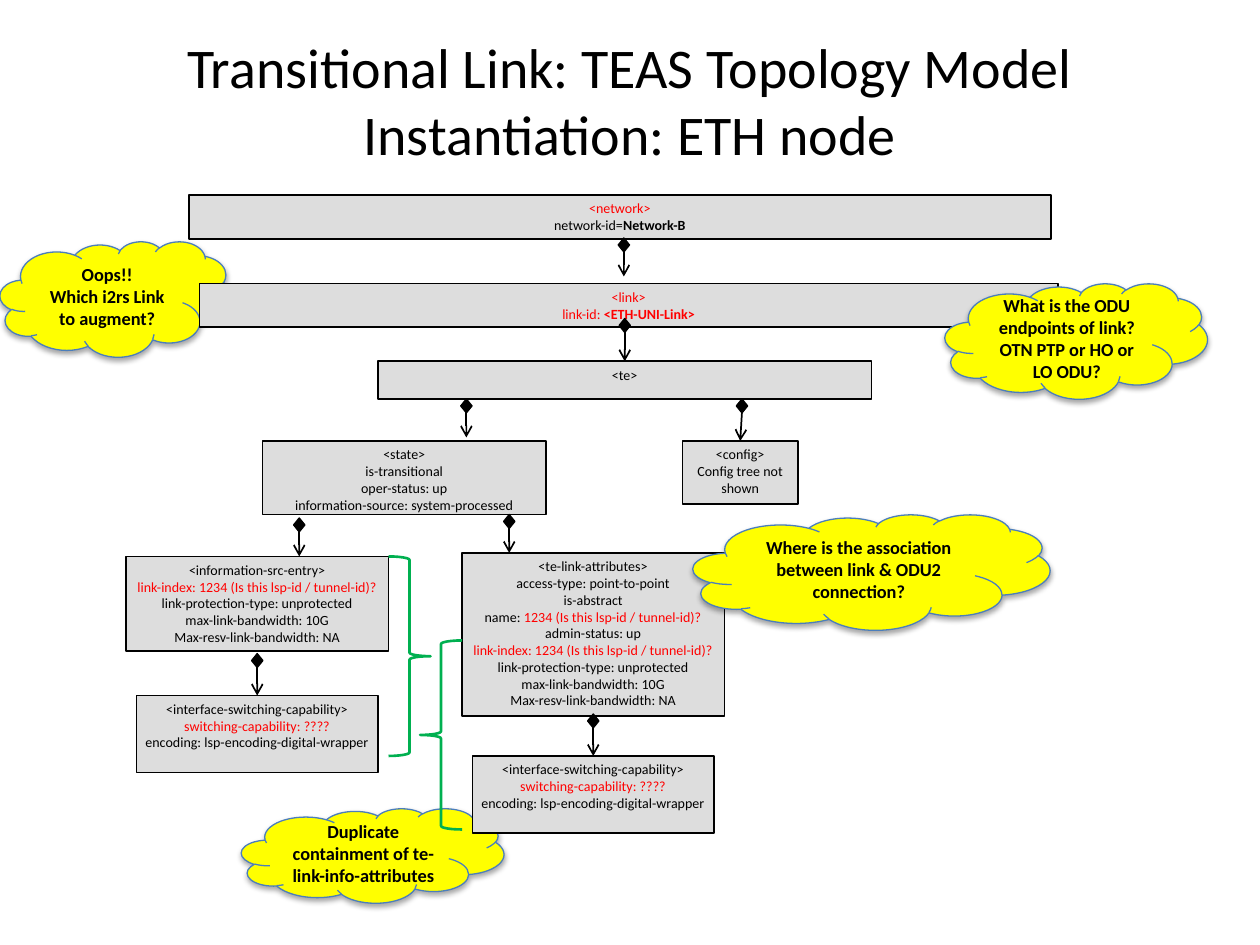
from dataclasses import dataclass

from lxml.etree import SubElement
from pptx import Presentation
from pptx.dml.color import RGBColor as RGB
from pptx.enum.shapes import MSO_CONNECTOR as CONN, MSO_SHAPE as SHAPE
from pptx.enum.text import MSO_ANCHOR as ANCHOR, PP_ALIGN as ALIGN
from pptx.oxml.ns import qn
from pptx.util import Pt


@dataclass(frozen=True)
class Theme:
    font: str = "Calibri"
    title_size: float = 32
    cloud_size: float = 10.5
    box_size: float = 8
    ink: RGB = RGB(0x00, 0x00, 0x00)
    query: RGB = RGB(0xFF, 0x00, 0x00)
    box: RGB = RGB(0xDD, 0xDD, 0xDD)
    cloud: RGB = RGB(0xFF, 0xFF, 0x00)
    cloud_edge: RGB = RGB(0x4B, 0x7E, 0xBC)
    brace: RGB = RGB(0x00, 0xB0, 0x50)


@dataclass(frozen=True)
class Line:
    """One paragraph: a lead in the first colour, then an optional tail run."""
    lead: str
    red: bool = False
    tail: str = ""
    tail_red: bool = False
    tail_bold: bool = False


class Diagram:
    def __init__(self, slide, theme):
        self.slide, self.theme = slide, theme

    def style_paragraph(self, p, size, color, bold=None):
        p.alignment = ALIGN.CENTER
        f = p.font
        f.name, f.size, f.bold = self.theme.font, Pt(size), bold
        f.color.rgb = color

    def shape(self, kind, at, fill, edge, width):
        sp = self.slide.shapes.add_shape(kind, *map(Pt, at))
        if fill is None:
            sp.fill.background()
        else:
            sp.fill.solid()
            sp.fill.fore_color.rgb = fill
        sp.line.color.rgb = edge
        sp.line.width = Pt(width)
        return sp

    def title(self, text, at):
        sp = self.slide.shapes.title
        sp.left, sp.top, sp.width, sp.height = map(Pt, at)
        tf = sp.text_frame
        tf.text = text
        tf.vertical_anchor = ANCHOR.MIDDLE
        self.style_paragraph(tf.paragraphs[0], self.theme.title_size, self.theme.ink)

    def cloud(self, at, text):
        """Callout that keeps the soft shadow of the template."""
        t = self.theme
        sp = self.shape(SHAPE.CLOUD, at, t.cloud, t.cloud_edge, 0.75)
        tf = sp.text_frame
        tf.word_wrap = True
        tf.vertical_anchor = ANCHOR.MIDDLE
        tf.text = text
        for p in tf.paragraphs:
            self.style_paragraph(p, t.cloud_size, t.ink, bold=True)

    def box(self, at, *lines):
        t = self.theme
        sp = self.shape(SHAPE.RECTANGLE, at, t.box, t.ink, 1)
        sp.shadow.inherit = False
        tf = sp.text_frame
        tf.word_wrap = True
        tf.vertical_anchor = ANCHOR.TOP
        tf.margin_left = tf.margin_right = Pt(5)
        tf.margin_top = tf.margin_bottom = Pt(2.75)
        for i, line in enumerate(lines):
            p = tf.add_paragraph() if i else tf.paragraphs[0]
            self.style_paragraph(p, t.box_size, t.query if line.red else t.ink)
            p.add_run().text = line.lead
            if line.tail:
                r = p.add_run()
                r.text = line.tail
                if line.tail_bold:
                    r.font.bold = True
                if line.tail_red:
                    r.font.color.rgb = t.query
        return sp

    def containment(self, x, top, target=None):
        """Diamond-tailed arrow centred on x, joined to the top of target if given."""
        t = self.theme
        diamond = self.shape(SHAPE.DIAMOND, (x - 3.25, top, 6.5, 8), t.ink, t.ink, 0.75)
        diamond.shadow.inherit = False
        cx = self.slide.shapes.add_connector(
            CONN.STRAIGHT, Pt(x), Pt(top + 7.5), Pt(x), Pt(top + 22))
        if target is not None:
            cx.end_connect(target, 0)
        cx.line.color.rgb = t.ink
        cx.line.width = Pt(1)
        SubElement(cx.line._get_or_add_ln(), qn("a:tailEnd"), type="arrow")
        SubElement(cx._element.spPr, qn("a:effectLst"))

    def brace(self, kind, at):
        sp = self.shape(kind, at, None, self.theme.brace, 1.5)
        sp.shadow.inherit = False


QUESTION = "1234 (Is this lsp-id / tunnel-id)?"
LINK_INDEX = Line("link-index: " + QUESTION, red=True)
LINK_INFO = [Line("link-protection-type: unprotected"),
             Line("max-link-bandwidth: 10G"),
             Line("Max-resv-link-bandwidth: NA")]
SWITCHING = [Line("<interface-switching-capability>"),
             Line("switching-capability: ????", red=True),
             Line("encoding: lsp-encoding-digital-wrapper")]


def main():
    prs = Presentation()
    prs.slide_width, prs.slide_height = Pt(720), Pt(540)
    d = Diagram(prs.slides.add_slide(prs.slide_layouts[5]), Theme())

    d.title("Transitional Link: TEAS Topology Model Instantiation: ETH node",
            (36, 12, 648, 90))
    d.cloud((138, 462, 150, 54), "Duplicate containment of te-link-info-attributes")
    d.cloud((0, 138, 132, 66), "Oops!!\nWhich i2rs Link to augment?")

    d.box((108, 111.5, 492.5, 25), Line("<network>", red=True),
          Line("network-id=", tail="Network-B", tail_bold=True))
    d.box((114, 162, 490.5, 25), Line("<link>", red=True),
          Line("link-id: ", red=True, tail="<ETH-UNI-Link>", tail_red=True, tail_bold=True))
    te = d.box((216, 206.5, 282, 21.5), Line("<te>"))
    d.box((150, 252, 162, 42), Line("<state>"), Line("is-transitional"),
          Line("oper-status: up"), Line("information-source: system-processed"))
    config = d.box((390, 252, 66, 36), Line("<config>"), Line("Config tree not shown"))
    d.box((72, 318, 150, 54), Line("<information-src-entry>"), LINK_INDEX, *LINK_INFO)
    source_switching = d.box((78, 397.5, 138, 44), *SWITCHING)
    d.box((264, 316, 150, 93), Line("<te-link-attributes>"),
          Line("access-type: point-to-point"), Line("is-abstract"),
          Line("name: ", tail=QUESTION, tail_red=True),
          Line("admin-status: up"), LINK_INDEX, *LINK_INFO)
    link_switching = d.box((270, 432, 138, 44), *SWITCHING)

    for x, top, target in [
            (356.5, 136, None), (357, 182, te),
            (266.5, 228, None), (424, 228, config),
            (171, 296, None), (291, 294, None),
            (147, 373.5, source_switching), (339, 408, link_switching)]:
        d.containment(x, top, target)

    d.cloud((396, 294, 204, 66), "Where is the association between link & ODU2 connection?")
    d.brace(SHAPE.LEFT_BRACE, (240, 366, 24, 108))
    d.brace(SHAPE.RIGHT_BRACE, (222, 318, 24, 114))
    d.cloud((540, 162, 150, 66), "What is the ODU endpoints of link? OTN PTP or HO or LO ODU?")

    prs.save("out.pptx")


if __name__ == "__main__":
    main()
